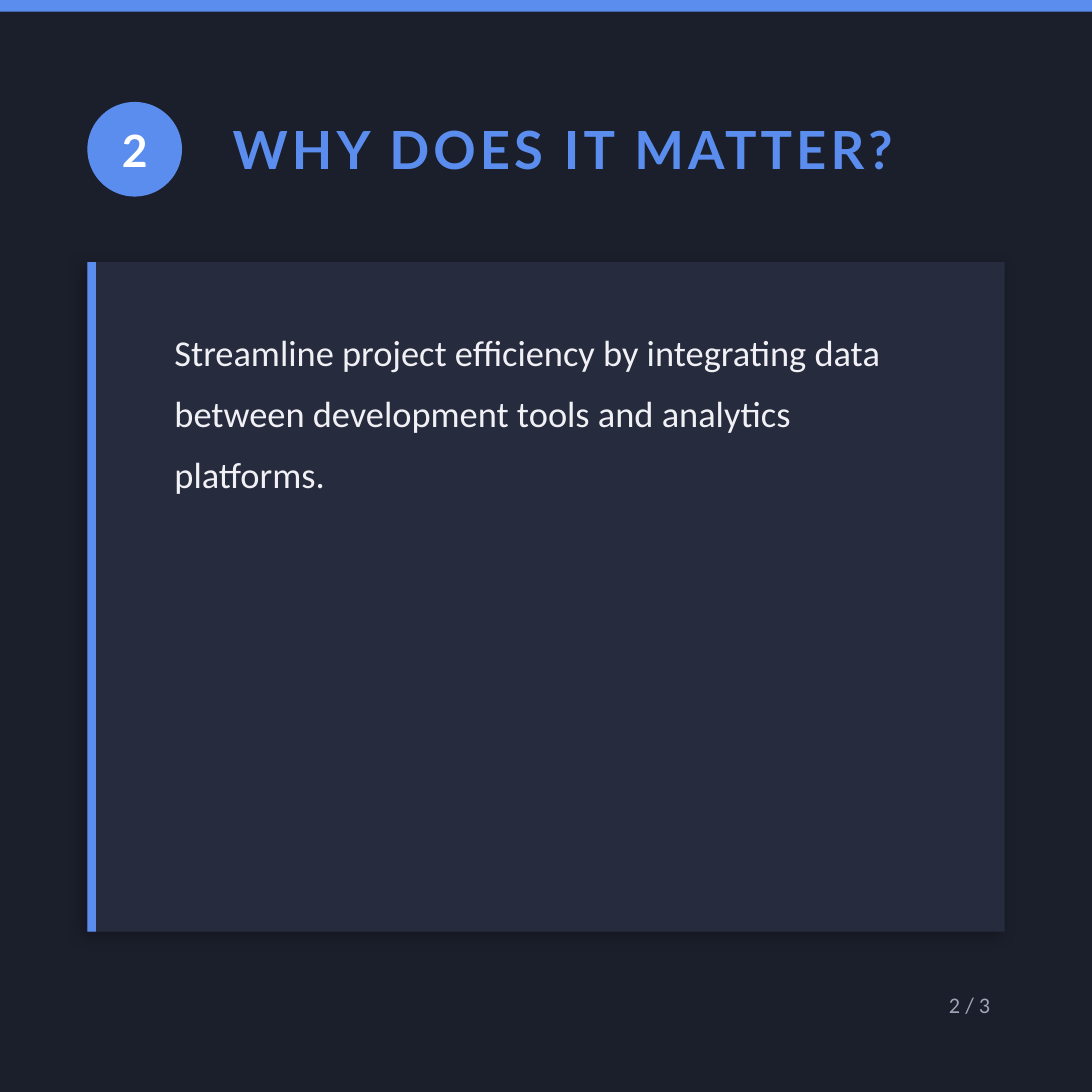
from dataclasses import dataclass

from lxml.etree import SubElement
from pptx import Presentation
from pptx.dml.color import RGBColor
from pptx.enum.shapes import MSO_SHAPE
from pptx.enum.text import MSO_ANCHOR, PP_ALIGN
from pptx.oxml.ns import qn
from pptx.shapes.autoshape import Shape
from pptx.slide import Slide
from pptx.util import Inches, Pt

NIGHT = RGBColor(0x1B, 0x1F, 0x2B)
BLUE = RGBColor(0x5B, 0x8D, 0xEF)
CARD = RGBColor(0x26, 0x2B, 0x3D)
WHITE = RGBColor(0xFF, 0xFF, 0xFF)
PALE = RGBColor(0xF0, 0xF0, 0xF5)
GREY = RGBColor(0xA0, 0xA4, 0xB8)

SIDE = 7.5
LEFT = 0.6
WIDTH = SIDE - 2 * LEFT
TOP, HEIGHT = 1.8, 4.6
BADGE = (LEFT, 0.7, 0.65, 0.65)


@dataclass
class Block:
    box: tuple[float, float, float, float]
    fill: RGBColor
    kind: MSO_SHAPE = MSO_SHAPE.RECTANGLE
    shadow: bool = False


@dataclass
class Label:
    box: tuple[float, float, float, float]
    text: str
    size: int
    color: RGBColor
    font: str = "Calibri"
    bold: bool = False
    align: PP_ALIGN = PP_ALIGN.LEFT
    anchor: MSO_ANCHOR = MSO_ANCHOR.MIDDLE
    lines: float = 1.0
    track: int = 0


BLOCKS = [
    Block((0, 0, SIDE, 0.08), BLUE),
    Block(BADGE, BLUE, MSO_SHAPE.OVAL),
    Block((LEFT, TOP, WIDTH, HEIGHT), CARD, shadow=True),
    Block((LEFT, TOP, 0.06, HEIGHT), BLUE),
]

LABELS = [
    Label(BADGE, "2", 22, WHITE, "Lato", True, PP_ALIGN.CENTER),
    Label((1.5, 0.72, 5.4, 0.6), "WHY DOES IT MATTER?", 26, BLUE,
          "Lato", True, track=2),
    Label((1.1, TOP + 0.3, 5.5, HEIGHT - 0.6),
          "Streamline project efficiency by integrating data between "
          "development tools and analytics platforms.",
          18, PALE, anchor=MSO_ANCHOR.TOP, lines=1.4),
    Label((LEFT, 6.7, WIDTH, 0.4), "2 / 3", 11, GREY, align=PP_ALIGN.RIGHT),
]


def add_shadow(shape: Shape) -> None:
    effects = shape.element.spPr.find(qn("a:effectLst"))
    outer = SubElement(effects, qn("a:outerShdw"), blurRad=str(Pt(8)),
                       dist=str(Pt(3)), dir=str(135 * 60000),
                       algn="bl", rotWithShape="0")
    color = SubElement(outer, qn("a:srgbClr"), val="000000")
    SubElement(color, qn("a:alpha"), val="25000")


def draw_block(slide: Slide, block: Block) -> None:
    shape = slide.shapes.add_shape(block.kind, *map(Inches, block.box))
    shape.fill.solid()
    shape.fill.fore_color.rgb = block.fill
    shape.line.fill.background()
    shape.shadow.inherit = False
    if block.shadow:
        add_shadow(shape)


def draw_label(slide: Slide, label: Label) -> None:
    frame = slide.shapes.add_textbox(*map(Inches, label.box)).text_frame
    frame.word_wrap = True
    frame.vertical_anchor = label.anchor
    para = frame.paragraphs[0]
    para.alignment = label.align
    para.line_spacing = label.lines
    run = para.add_run()
    run.text = label.text
    font = para.font
    font.name = label.font
    font.size = Pt(label.size)
    font.bold = label.bold
    font.color.rgb = label.color
    if label.track:
        run.font._element.set("spc", str(label.track * 100))


def main() -> None:
    deck = Presentation()
    deck.slide_width = deck.slide_height = Inches(SIDE)
    slide = deck.slides.add_slide(deck.slide_layouts[6])
    slide.background.fill.solid()
    slide.background.fill.fore_color.rgb = NIGHT
    for block in BLOCKS:
        draw_block(slide, block)
    for label in LABELS:
        draw_label(slide, label)
    deck.save("out.pptx")


if __name__ == "__main__":
    main()
